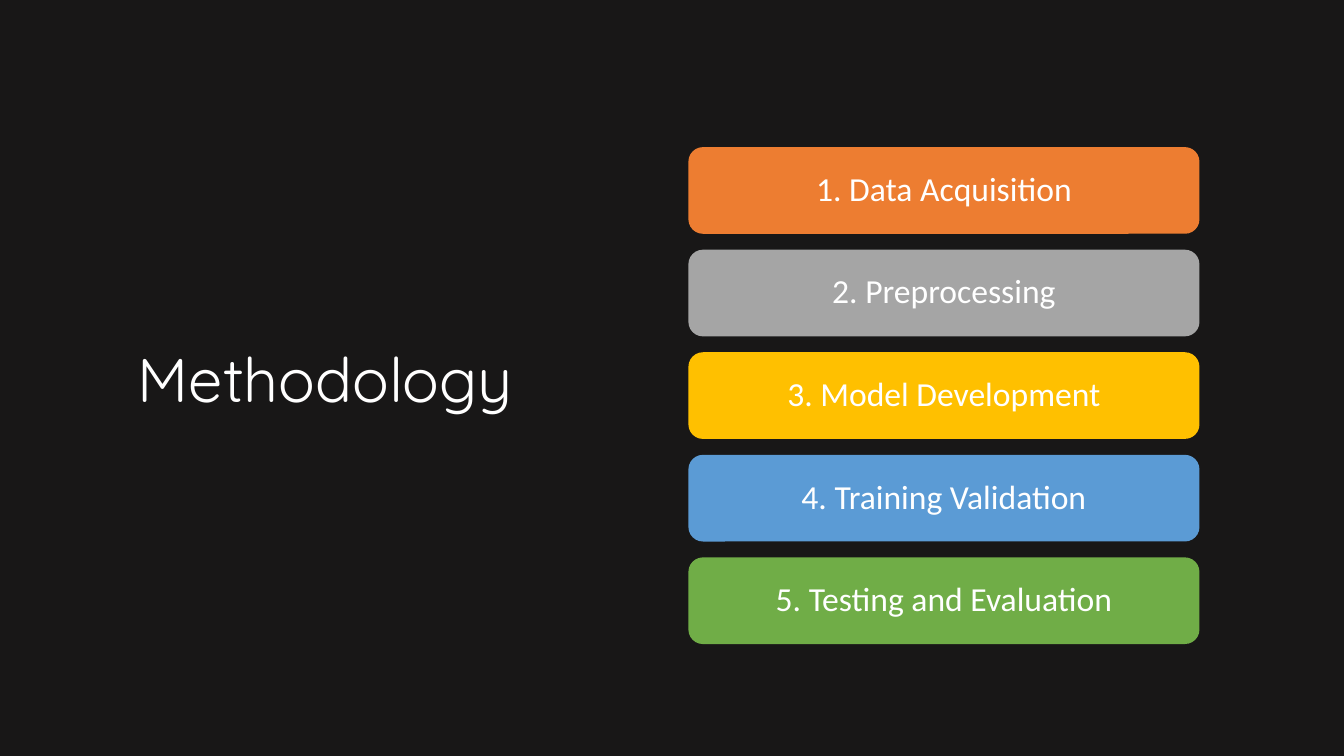
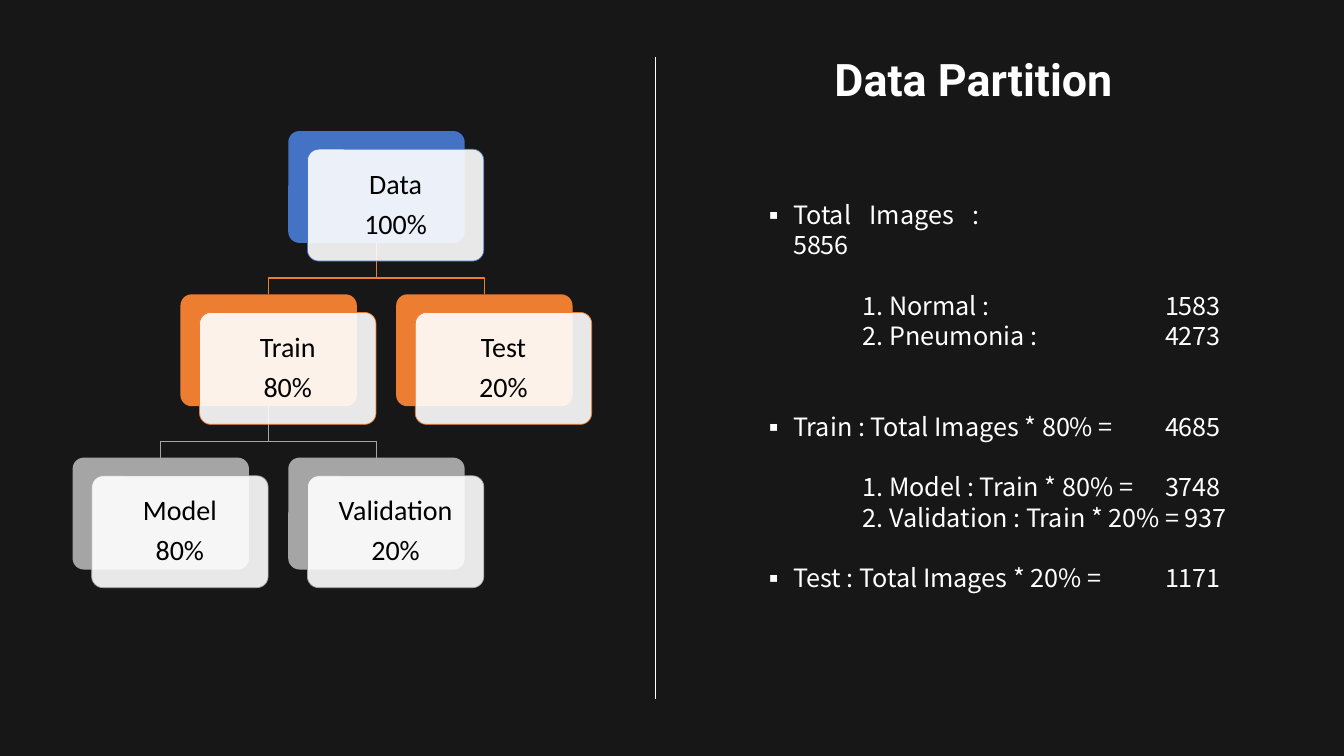
import lxml.etree
import pptx
import pptx.dml.color
import pptx.enum.shapes
import pptx.enum.text
import pptx.oxml.ns
import pptx.util

Inches = pptx.util.Inches
Pt = pptx.util.Pt
ALIGN = pptx.enum.text.PP_ALIGN
ROUNDED = pptx.enum.shapes.MSO_SHAPE.ROUNDED_RECTANGLE

DARK, WHITE, BLACK = "181717", "FFFFFF", "000000"
BLUE, ORANGE, GREY = "4472C4", "ED7D31", "A5A5A5"
YELLOW, SKY, GREEN = "FFC000", "5B9BD5", "70AD47"

METHOD_TITLE = {"name": "Quicksand", "size": Pt(44)}
PARTITION_TITLE = {"name": "Roboto", "size": Pt(32), "bold": True}
BAR_FONT = {"name": "Calibri", "size": Pt(24)}
CARD_FONT = {"name": "Calibri", "size": Pt(20)}
LIST_FONT = {"name": "Noto Sans CJK JP", "size": Pt(18)}
LIST_LINE = 21.6

STEPS = [
    ("1. Data Acquisition", ORANGE),
    ("2. Preprocessing", GREY),
    ("3. Model Development", YELLOW),
    ("4. Training Validation", SKY),
    ("5. Testing and Evaluation", GREEN),
]

CARDS = {
    "Data": ("100%", 2, 0, None),
    "Train": ("80%", 1, 1, "Data"),
    "Test": ("20%", 3, 1, "Data"),
    "Model": ("80%", 0, 2, "Train"),
    "Validation": ("20%", 2, 2, "Train"),
}
LEVEL_COLOURS = [BLUE, ORANGE, GREY]

COUNTS = [
    ("Total Images : \t\t\t\t5856", True, 0),
    ("\t1. Normal : \t\t1583", False, 1),
    ("\t2. Pneumonia : \t\t4273", False, 0),
    ("Train : Total Images * 80% = \t4685", True, 2),
    ("\t1. Model : Train * 80% = \t3748", False, 1),
    ("\t2. Validation : Train * 20% = 937", False, 0),
    ("Test : Total Images * 20% = \t1171", True, 1),
]


def colour(value):
    return pptx.dml.color.RGBColor.from_string(value)


def apply(target, formats):
    for name, value in formats.items():
        setattr(target, name, value)


def add_text(para, text, font, text_colour):
    span = para.add_run()
    span.text = text
    apply(span.font, font)
    span.font.color.rgb = colour(text_colour)


def add_page(deck):
    page = deck.slides.add_slide(deck.slide_layouts[6])
    page.background.fill.solid()
    page.background.fill.fore_color.rgb = colour(DARK)
    return page


def add_box(page, left, top, width, height):
    box = page.shapes.add_textbox(*map(Inches, (left, top, width, height)))
    box.text_frame.word_wrap = True
    return box


def add_title(page, area, text, font):
    box = add_box(page, *area)
    add_text(box.text_frame.paragraphs[0], text, font, WHITE)


def add_panel(page, area, fill, outline=None, corner=None, alpha=None):
    panel = page.shapes.add_shape(ROUNDED, *map(Inches, area))
    panel.shadow.inherit = False
    if corner:
        panel.adjustments[0] = corner
    panel.fill.solid()
    panel.fill.fore_color.rgb = colour(fill)
    if alpha:
        tint = panel.fill._xPr.find(".//" + pptx.oxml.ns.qn("a:srgbClr"))
        lxml.etree.SubElement(tint, pptx.oxml.ns.qn("a:alpha"), val=str(alpha * 1000))
    if outline:
        panel.line.color.rgb = colour(outline)
        panel.line.width = Pt(0.5)
    else:
        panel.line.fill.background()
    return panel


def label_panel(panel, lines, font, text_colour):
    frame = panel.text_frame
    apply(frame, {"word_wrap": True, "vertical_anchor": pptx.enum.text.MSO_ANCHOR.MIDDLE})
    for index, line in enumerate(lines):
        para = frame.add_paragraph() if index else frame.paragraphs[0]
        apply(para, {"alignment": ALIGN.CENTER, "line_spacing": 0.9})
        if index:
            para.space_before = Pt(7)
        add_text(para, line, font, text_colour)


def add_steps(page, left, top, width, height):
    bar = 0.86
    pitch = (height - bar) / (len(STEPS) - 1)
    for index, (text, fill) in enumerate(STEPS):
        panel = add_panel(page, (left, top + index * pitch, width, bar), fill)
        label_panel(panel, [text], BAR_FONT, WHITE)


def add_branch(page, start, end, line_colour):
    (start_x, start_y), (end_x, end_y) = start, end
    bend = start_y + 0.35
    points = [(start_x, bend), (end_x, bend), (end_x, end_y)]
    builder = page.shapes.build_freeform(Inches(start_x), Inches(start_y))
    builder.add_line_segments([(Inches(x), Inches(y)) for x, y in points], close=False)
    branch = builder.convert_to_shape()
    branch.shadow.inherit = False
    branch.fill.background()
    branch.line.color.rgb = colour(line_colour)
    branch.line.width = Pt(1)


def add_tree(page, left, top):
    column, level, width, height = 1.07, 1.62, 1.75, 1.11
    corners = {
        name: (left + col * column, top + row * level)
        for name, (share, col, row, parent) in CARDS.items()
    }
    for name, (share, col, row, parent) in CARDS.items():
        if parent:
            parent_x, parent_y = corners[parent]
            x, y = corners[name]
            start = (parent_x + width / 2, parent_y + height)
            add_branch(page, start, (x + width / 2, y), LEVEL_COLOURS[row])
    for name, (share, col, row, parent) in CARDS.items():
        x, y = corners[name]
        fill = LEVEL_COLOURS[row]
        add_panel(page, (x, y, width, height), fill, corner=0.1)
        card = add_panel(page, (x + 0.19, y + 0.18, width, height), WHITE, fill, 0.1, 90)
        label_panel(card, [name, share], CARD_FONT, BLACK)


def add_bullet(para):
    properties = para._p.get_or_add_pPr()
    indent = Inches(0.31)
    properties.set("marL", str(indent))
    properties.set("indent", str(-indent))
    typeface = LIST_FONT["name"]
    lxml.etree.SubElement(properties, pptx.oxml.ns.qn("a:buFont"), typeface=typeface)
    lxml.etree.SubElement(properties, pptx.oxml.ns.qn("a:buChar"), char="▪")


def add_counts(page, area):
    frame = add_box(page, *area).text_frame
    for index, (text, bulleted, gap) in enumerate(COUNTS):
        para = frame.add_paragraph() if index else frame.paragraphs[0]
        para._p.get_or_add_pPr().set("defTabSz", str(Inches(1)))
        if bulleted:
            add_bullet(para)
        apply(para, {"alignment": ALIGN.JUSTIFY, "line_spacing": Pt(LIST_LINE)})
        if gap:
            para.space_before = Pt(gap * LIST_LINE)
        add_text(para, text, LIST_FONT, WHITE)


def add_divider(page, x, top, bottom):
    straight = pptx.enum.shapes.MSO_CONNECTOR.STRAIGHT
    divider = page.shapes.add_connector(straight, *map(Inches, (x, top, x, bottom)))
    divider.line.color.rgb = colour(WHITE)
    divider.line.width = Pt(0.5)
    lxml.etree.SubElement(divider._element.spPr, pptx.oxml.ns.qn("a:effectLst"))


def build_methodology(deck):
    page = add_page(deck)
    add_title(page, (1.27, 3.33, 4.04, 0.84), "Methodology", METHOD_TITLE)
    add_steps(page, 6.83, 1.46, 5.07, 4.93)


def build_partition(deck):
    page = add_page(deck)
    add_title(page, (8.18, 0.46, 3.56, 0.64), "Data Partition", PARTITION_TITLE)
    add_tree(page, 0.72, 1.3)
    add_counts(page, (7.46, 1.93, 5.57, 4.34))
    add_divider(page, 6.5, 0.57, 6.93)


def main():
    deck = pptx.Presentation()
    apply(deck, {"slide_width": Inches(40 / 3), "slide_height": Inches(7.5)})
    build_methodology(deck)
    build_partition(deck)
    deck.save("out.pptx")


if __name__ == "__main__":
    main()
